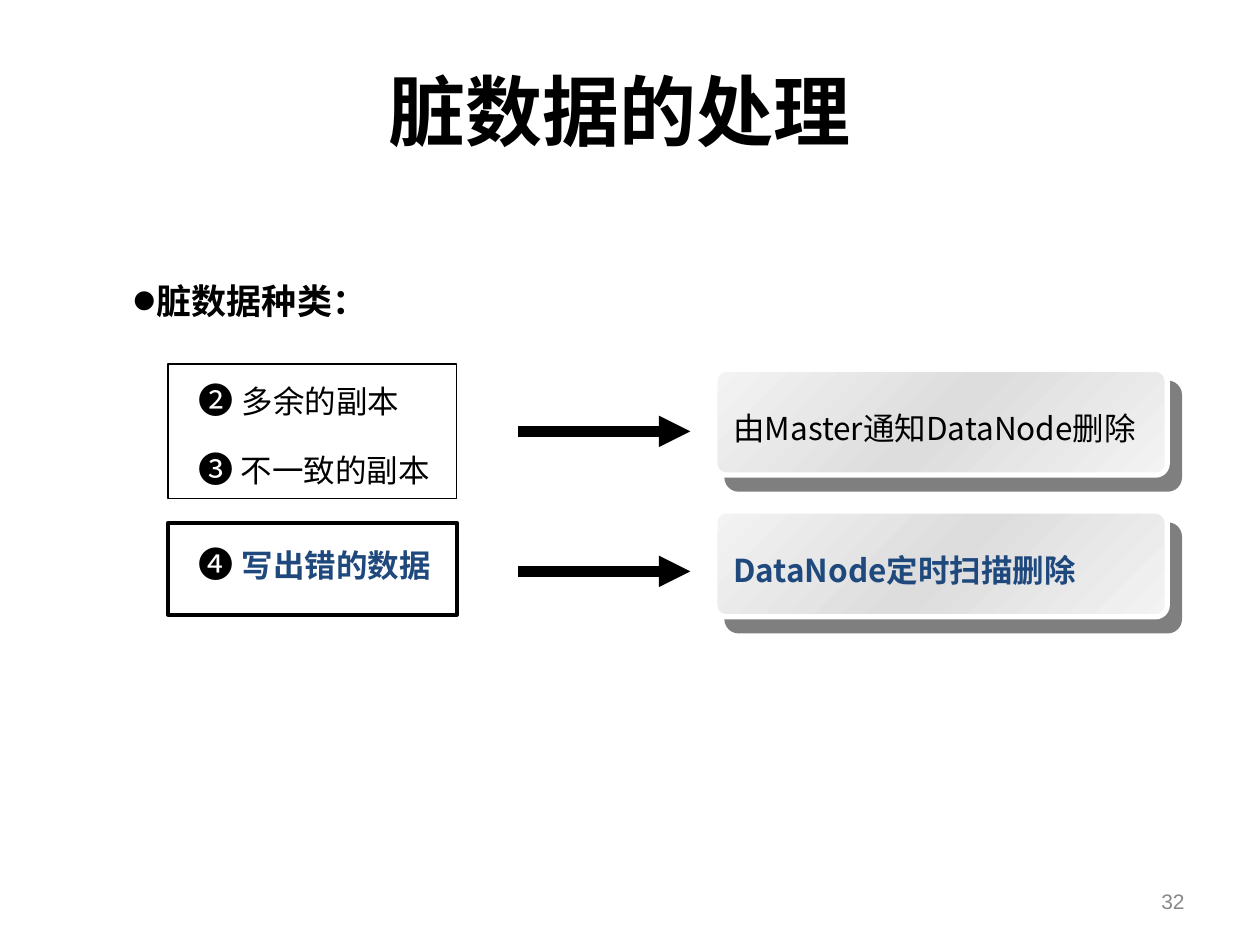
"""Build a slide on how each kind of dirty data is removed."""
from copy import deepcopy

from lxml.etree import SubElement
from pptx import Presentation
from pptx.dml.color import RGBColor
from pptx.enum.shapes import MSO_CONNECTOR, MSO_SHAPE
from pptx.enum.text import MSO_ANCHOR, PP_ALIGN
from pptx.oxml.ns import qn
from pptx.util import Pt

BLACK = RGBColor(0, 0, 0)
WHITE = RGBColor(255, 255, 255)
NAVY = RGBColor(0x1F, 0x49, 0x7D)
GRAY = RGBColor(0x89, 0x89, 0x89)
PALE = RGBColor(0xF3, 0xF3, 0xF3)
SILVER = RGBColor(0xDD, 0xDD, 0xDD)
SANS = "Noto Sans CJK SC"

TITLE = ("脏数据的处理", 44, "Calibri", BLACK, True)
HEAD = ("脏数据种类：", 20, "Arial", BLACK, True)
NUMBER = ("32", 12, "Arial", GRAY, False)
KINDS = [
    (213, "❷ ", "多余的副本", BLACK, False),
    (252, "❸", " 不一致的副本", BLACK, False),
    (306.5, "❹ ", "写出错的数据", NAVY, True),
]
ROWS = [
    {"frame": (208, 77), "line": 0.75, "arrow": 246.5, "card": 211,
     "reply": ("由Master通知DataNode删除", 18, SANS, BLACK, False)},
    {"frame": (298.75, 52.5), "line": 2.25, "arrow": 326.5, "card": 292,
     "reply": ("DataNode定时扫描删除", 18, SANS, NAVY, True)},
]


def add_text(shapes, area, runs, align=PP_ALIGN.LEFT, anchor=MSO_ANCHOR.TOP, bullet=False):
    box = shapes.add_textbox(*map(Pt, area))
    frame = box.text_frame
    frame.word_wrap = True
    frame.vertical_anchor = anchor
    par = frame.paragraphs[0]
    par.alignment = align
    if bullet:
        props = par._p.get_or_add_pPr()
        color = SubElement(props, qn("a:buClr"))
        SubElement(color, qn("a:srgbClr"), val=str(BLACK))
        SubElement(props, qn("a:buSzPct"), val="200000")
        SubElement(props, qn("a:buFont"), typeface="Arial")
        SubElement(props, qn("a:buChar"), char="•")
    for text, size, name, color, bold in runs:
        run = par.add_run()
        run.text = text
        font = run.font
        font.size, font.name, font.bold = Pt(size), name, bold
        font.color.rgb = color
        SubElement(run._r.get_or_add_rPr(), qn("a:ea"), typeface=SANS)


def add_frame(shapes, top, height, width):
    box = shapes.add_shape(MSO_SHAPE.RECTANGLE, Pt(96), Pt(top), Pt(165), Pt(height))
    box.shadow.inherit = False
    box.fill.background()
    box.line.color.rgb = BLACK
    box.line.width = Pt(width)


def add_arrow(shapes, y):
    arrow = shapes.add_connector(MSO_CONNECTOR.STRAIGHT, Pt(296), Pt(y), Pt(394.5), Pt(y))
    arrow.line.color.rgb = BLACK
    arrow.line.width = Pt(6)
    SubElement(arrow.line._get_or_add_ln(), qn("a:tailEnd"), type="triangle")
    SubElement(arrow._element.spPr, qn("a:effectLst"))


def add_card(shapes, top, reply):
    group = shapes.add_group_shape().shapes
    card = group.add_shape(MSO_SHAPE.ROUNDED_RECTANGLE, Pt(408.5), Pt(top), Pt(258.5), Pt(60.5))
    card.adjustments[0] = 0.11
    card.line.color.rgb = WHITE
    card.line.width = Pt(3)
    fill = card.fill
    fill.gradient()
    fill.gradient_angle = 135
    stops = card._element.spPr.find(qn("a:gradFill")).find(qn("a:gsLst"))
    stops.insert(1, deepcopy(stops[0]))
    for stop, spot, color in zip(fill.gradient_stops, (0, 0.5, 1), (PALE, SILVER, PALE)):
        stop.position = spot
        stop.color.rgb = color
    card.shadow.inherit = False
    effect = card._element.spPr.find(qn("a:effectLst"))
    shade = SubElement(effect, qn("a:outerShdw"), dist=str(Pt(10.6)),
                       dir=str(49 * 60000), algn="ctr", rotWithShape="0")
    color = SubElement(shade, qn("a:srgbClr"), val=str(BLACK))
    SubElement(color, qn("a:alpha"), val="50000")
    add_text(group, (412, top + 19.25, 263, 29), [reply])


def main():
    deck = Presentation()
    deck.slide_width, deck.slide_height = Pt(720), Pt(540)
    shapes = deck.slides.add_slide(deck.slide_layouts[6]).shapes
    add_text(shapes, (516, 500.5, 168, 29), [NUMBER], PP_ALIGN.RIGHT, MSO_ANCHOR.MIDDLE)
    add_text(shapes, (30, 17.5, 648, 90), [TITLE], PP_ALIGN.CENTER, MSO_ANCHOR.MIDDLE)
    add_text(shapes, (68.5, 156, 229, 31.5), [HEAD], bullet=True)
    for top, mark, text, color, bold in KINDS:
        runs = [(mark, 20, "Arial", BLACK, False), (text, 18, SANS, color, bold)]
        add_text(shapes, (106.5, top, 149, 31.5), runs)
    for row in ROWS:
        add_frame(shapes, *row["frame"], row["line"])
        add_arrow(shapes, row["arrow"])
        add_card(shapes, row["card"], row["reply"])
    deck.save("out.pptx")


if __name__ == "__main__":
    main()
